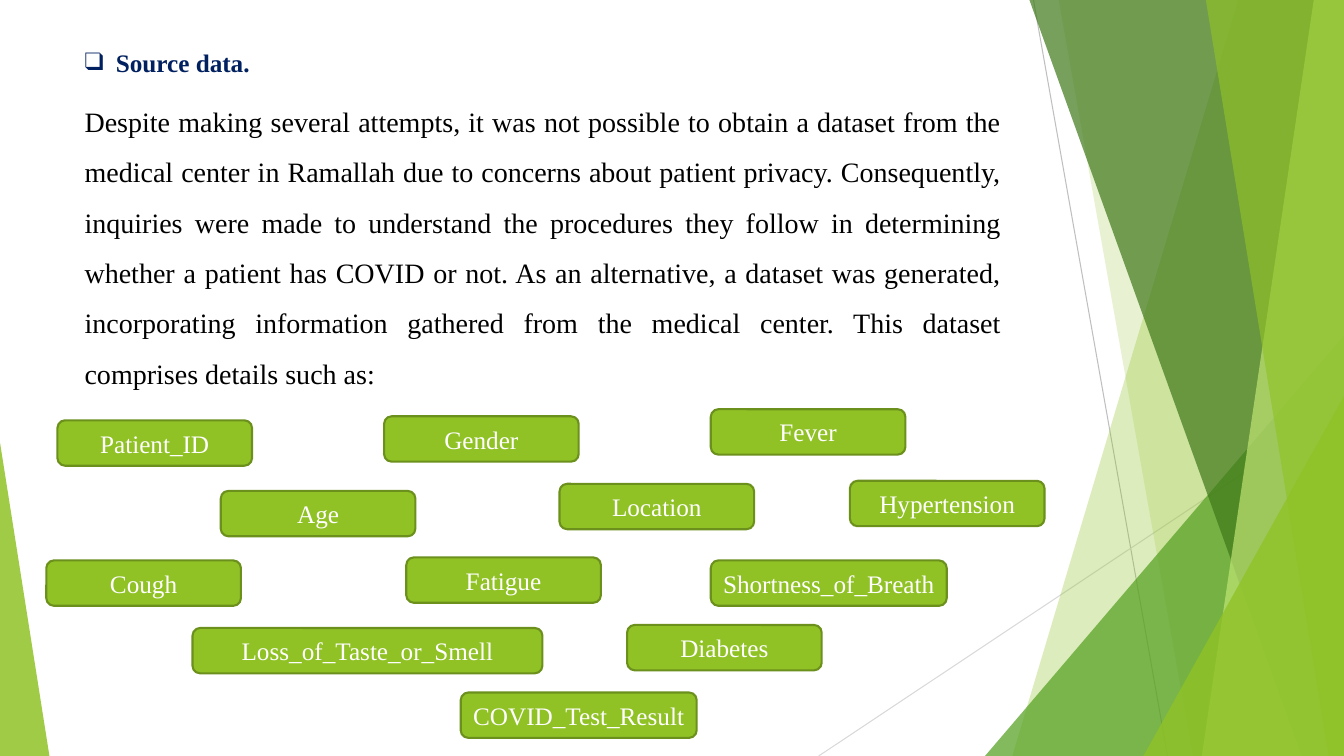
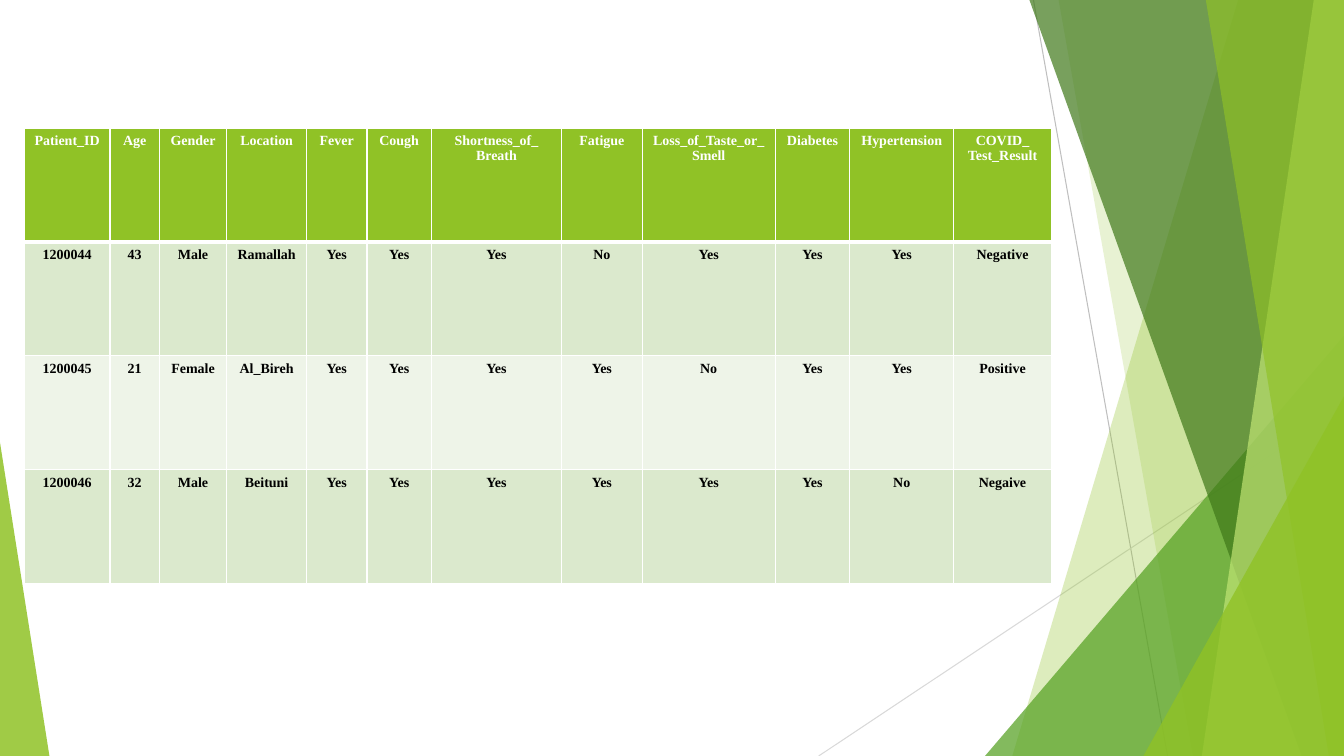
from lxml import etree
from pptx import Presentation
from pptx.dml.color import RGBColor
from pptx.enum.shapes import MSO_CONNECTOR, MSO_SHAPE
from pptx.enum.text import MSO_ANCHOR, MSO_AUTO_SIZE, PP_ALIGN
from pptx.oxml.ns import qn
from pptx.util import Inches, Pt

STRAIGHT = MSO_CONNECTOR.STRAIGHT
TRIANGLE = MSO_SHAPE.ISOSCELES_TRIANGLE
ROUNDED = MSO_SHAPE.ROUNDED_RECTANGLE
CENTER, JUSTIFY = PP_ALIGN.CENTER, PP_ALIGN.JUSTIFY
MIDDLE = MSO_ANCHOR.MIDDLE
GROW = MSO_AUTO_SIZE.SHAPE_TO_FIT_TEXT

WIDTH, HEIGHT = 13.33, 7.5
LIME, GREEN, FOREST, PALE = "90C226", "54A021", "3F7819", "C0E474"
OUTLINE, NAVY, BLACK, WHITE = "6B901C", "002060", "000000", "FFFFFF"
ROW_FILLS = ["DBE9CD", "EEF4E8"]

FONT = "Times New Roman"
HEADING = {"name": FONT, "size": Pt(18), "bold": True}
BODY = {"name": FONT, "size": Pt(20)}
LABEL = {"name": FONT, "size": Pt(18)}
CELL = {"name": FONT, "size": Pt(10), "bold": True}

BODY_TEXT = (
    "Despite making several attempts, it was not possible to obtain a dataset "
    "from the medical center in Ramallah due to concerns about patient privacy. "
    "Consequently, inquiries were made to understand the procedures they follow "
    "in determining whether a patient has COVID or not. As an alternative, a "
    "dataset was generated, incorporating information gathered from the medical "
    "center. This dataset comprises details such as:"
)

PILL_WIDTH, WIDE_PILL, WIDEST_PILL, PILL_HEIGHT = 1.93, 2.34, 3.47, 0.45
PILLS = [
    ("Patient_ID", 0.57, 4.17, PILL_WIDTH),
    ("Age", 2.19, 4.87, PILL_WIDTH),
    ("Gender", 3.81, 4.13, PILL_WIDTH),
    ("Location", 5.55, 4.8, PILL_WIDTH),
    ("Fever", 7.05, 4.06, PILL_WIDTH),
    ("Cough", 0.46, 5.56, PILL_WIDTH),
    ("Shortness_of_Breath", 7.05, 5.56, WIDE_PILL),
    ("Fatigue", 4.03, 5.53, PILL_WIDTH),
    ("Loss_of_Taste_or_Smell", 1.91, 6.23, WIDEST_PILL),
    ("Diabetes", 6.22, 6.2, PILL_WIDTH),
    ("Hypertension", 8.43, 4.77, PILL_WIDTH),
    ("COVID_Test_Result", 4.57, 6.87, WIDE_PILL),
]

COLUMN_WIDTHS = [0.85, 0.49, 0.67, 0.79, 0.6, 0.64, 1.29, 0.8, 1.32, 0.74, 1.03, 0.97]
ROW_HEIGHT = 1.13
PATIENTS = [
    ["Patient_ID", "Age", "Gender", "Location", "Fever", "Cough",
     "Shortness_of_\nBreath", "Fatigue", "Loss_of_Taste_or_\nSmell",
     "Diabetes", "Hypertension", "COVID_\nTest_Result"],
    ["1200044", "43", "Male", "Ramallah", "Yes", "Yes",
     "Yes", "No", "Yes", "Yes", "Yes", "Negative"],
    ["1200045", "21", "Female", "Al_Bireh", "Yes", "Yes",
     "Yes", "Yes", "No", "Yes", "Yes", "Positive"],
    ["1200046", "32", "Male", "Beituni", "Yes", "Yes",
     "Yes", "Yes", "Yes", "Yes", "No", "Negaive"],
]


def paint(fill_owner, color, opacity=100):
    """Give a solid fill, with opacity in percent."""
    fill_owner.fill.solid()
    fill_owner.fill.fore_color.rgb = RGBColor.from_string(color)
    if opacity < 100:
        color_node = next(fill_owner._element.iter(qn("a:srgbClr")))
        etree.SubElement(color_node, qn("a:alpha"), val=str(opacity * 1000))


def write(frame, text, font_format, color, align=None, spacing=None):
    """Write one paragraph for each line of the text."""
    frame.text = text
    for para in frame.paragraphs:
        para.alignment = align
        para.line_spacing = spacing
        for span in para.runs:
            for name, value in font_format.items():
                setattr(span.font, name, value)
            span.font.color.rgb = RGBColor.from_string(color)


def add_hairline(slide, start, end, color):
    line = slide.shapes.add_connector(STRAIGHT, *map(Inches, start + end))
    line.line.color.rgb = RGBColor.from_string(color)
    line.line.width = Pt(0.75)
    etree.SubElement(line._element.spPr, qn("a:effectLst"))


def finish_facet(shape, color, opacity):
    shape.shadow.inherit = False
    shape.line.fill.background()
    paint(shape, color, opacity)


def add_band(slide, top_x, bottom_x, color, opacity):
    """Fill from a slanted left edge to the right edge of the slide."""
    corners = [(WIDTH, 0), (WIDTH, HEIGHT), (bottom_x, HEIGHT)]
    outline = slide.shapes.build_freeform(Inches(top_x), 0)
    outline.add_line_segments([(Inches(x), Inches(y)) for x, y in corners])
    finish_facet(outline.convert_to_shape(), color, opacity)


def add_wedge(slide, left, right, top, apex, color, opacity):
    """Add a triangle standing on the slide bottom; apex is 0 left, 1 right."""
    shape = slide.shapes.add_shape(
        TRIANGLE, *map(Inches, (left, top, right - left, HEIGHT - top)))
    shape.adjustments[0] = apex
    finish_facet(shape, color, opacity)


def add_backdrop(slide):
    add_hairline(slide, (10.25, 0), (11.58, HEIGHT), "BFBFBF")
    add_hairline(slide, (WIDTH, 4.03), (8.12, HEIGHT), "D9D9D9")
    add_band(slide, 12.28, 10.04, LIME, 30)
    add_band(slide, 10.5, 11.83, LIME, 20)
    add_wedge(slide, 9.77, WIDTH, 3.33, 1, GREEN, 72)
    add_band(slide, 10.21, 12.91, FOREST, 70)
    add_band(slide, 13.03, 11.92, PALE, 70)
    add_band(slide, 11.96, 13.18, LIME, 65)
    add_wedge(slide, 11.34, WIDTH, 3.93, 1, LIME, 80)
    add_wedge(slide, 0, 0.49, 4.39, 0, LIME, 85)


def new_slide(deck):
    slide = deck.slides.add_slide(deck.slide_layouts[6])
    add_backdrop(slide)
    return slide


def add_text(slide, place, wrap, *content, **layout):
    box = slide.shapes.add_textbox(*map(Inches, place))
    frame = box.text_frame
    frame.word_wrap = wrap
    frame.auto_size = GROW
    write(frame, *content, **layout)
    return frame


def add_bullet(para, symbol, indent):
    properties = para._p.get_or_add_pPr()
    properties.set("marL", str(Inches(indent)))
    properties.set("indent", str(-Inches(indent)))
    etree.SubElement(properties, qn("a:buFont"), typeface=FONT)
    etree.SubElement(properties, qn("a:buChar"), char=symbol)


def add_pill(slide, label, left, top, width):
    pill = slide.shapes.add_shape(
        ROUNDED, *map(Inches, (left, top, width, PILL_HEIGHT)))
    pill.shadow.inherit = False
    paint(pill, LIME)
    pill.line.color.rgb = RGBColor.from_string(OUTLINE)
    pill.line.width = Pt(1.5)
    pill.text_frame.vertical_anchor = MIDDLE
    write(pill.text_frame, label, LABEL, WHITE, CENTER)


def set_borders(cell, widths):
    """Draw white cell borders, given in points as left, right, top, bottom."""
    properties = cell._tc.get_or_add_tcPr()
    for index, (side, width) in enumerate(zip("LRTB", widths)):
        border = etree.Element(qn(f"a:ln{side}"), w=str(Pt(width)))
        fill = etree.SubElement(border, qn("a:solidFill"))
        etree.SubElement(fill, qn("a:srgbClr"), val=WHITE)
        properties.insert(index, border)


def add_patient_table(slide, left, top):
    size = (sum(COLUMN_WIDTHS), ROW_HEIGHT * len(PATIENTS))
    table = slide.shapes.add_table(
        len(PATIENTS), len(COLUMN_WIDTHS), *map(Inches, (left, top) + size)).table
    for column, width in zip(table.columns, COLUMN_WIDTHS):
        column.width = Inches(width)
    for row_index, values in enumerate(PATIENTS):
        table.rows[row_index].height = Inches(ROW_HEIGHT)
        is_header = row_index == 0
        row_fill = LIME if is_header else ROW_FILLS[(row_index - 1) % 2]
        borders = (1, 1, 3 if row_index == 1 else 1, 3 if is_header else 1)
        for column_index, value in enumerate(values):
            cell = table.cell(row_index, column_index)
            cell.fill.solid()
            cell.fill.fore_color.rgb = RGBColor.from_string(row_fill)
            write(cell.text_frame, value, CELL, WHITE if is_header else BLACK, CENTER)
            set_borders(cell, borders)


def build_source_slide(deck):
    slide = new_slide(deck)
    heading = add_text(slide, (0.74, 0.42, 1.86, 0.4), False,
                       "Source data.", HEADING, NAVY)
    add_bullet(heading.paragraphs[0], "❑", 0.31)
    add_text(slide, (0.74, 0.82, 9.29, 3.13), True,
             BODY_TEXT, BODY, BLACK, align=JUSTIFY, spacing=1.5)
    for pill in PILLS:
        add_pill(slide, *pill)


def build_table_slide(deck):
    add_patient_table(new_slide(deck), 0.24, 1.27)


def main():
    deck = Presentation()
    deck.slide_width, deck.slide_height = Inches(WIDTH), Inches(HEIGHT)
    build_source_slide(deck)
    build_table_slide(deck)
    deck.save("out.pptx")


if __name__ == "__main__":
    main()
